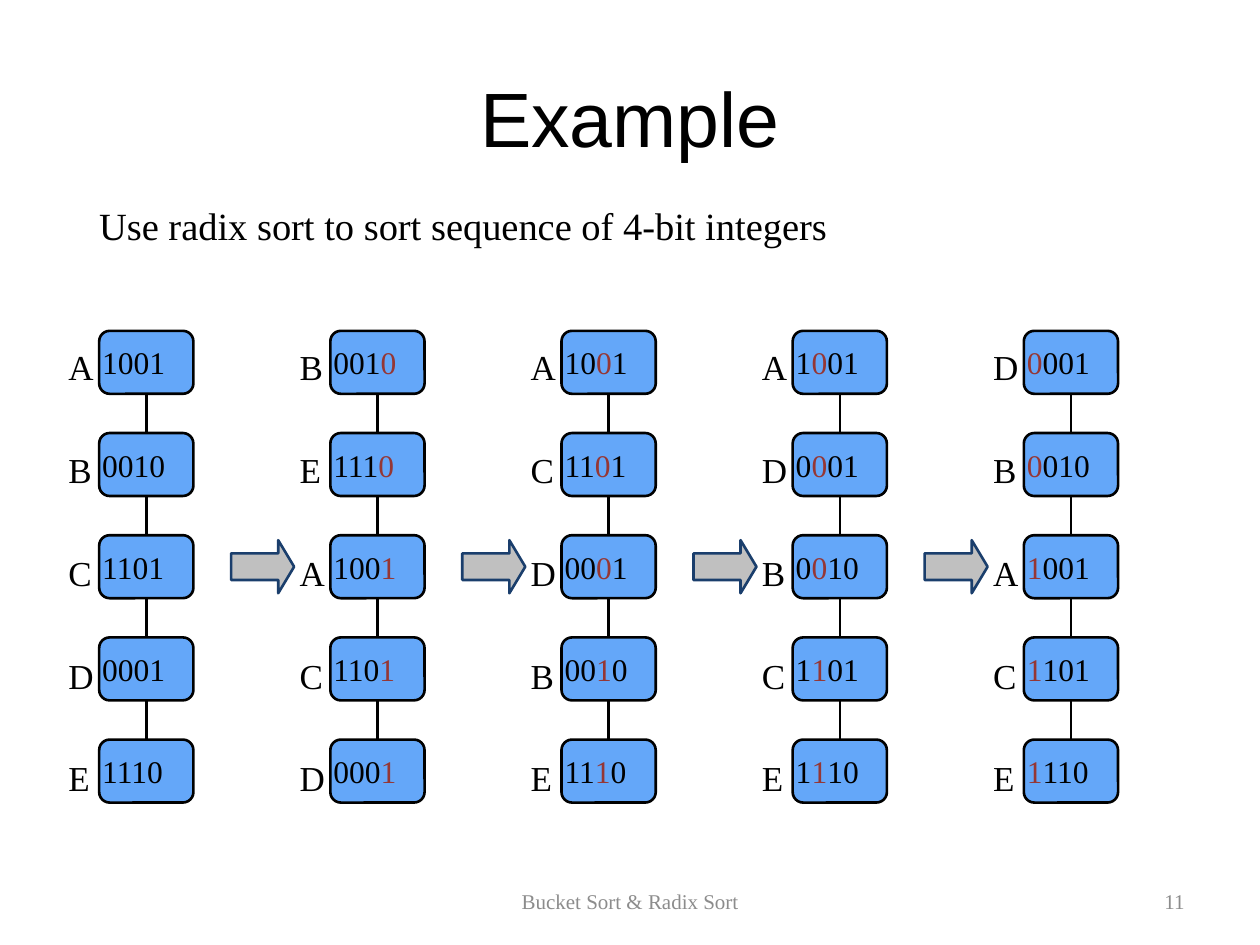
import pptx
import pptx.util
import pptx.dml.color
import pptx.enum.shapes
import pptx.enum.text
import pptx.oxml.ns
import lxml.etree

Cm, Pt = pptx.util.Cm, pptx.util.Pt
SHAPES = pptx.enum.shapes.MSO_SHAPE
ALIGN = pptx.enum.text.PP_ALIGN
ANCHOR = pptx.enum.text.MSO_ANCHOR

# Content
TITLE = "Example"
TASK = "Use radix sort to sort sequence of 4-bit integers"
FOOTER = "Bucket Sort & Radix Sort"
PAGE = "11"
NUMBERS = {"A": "1001", "B": "0010", "C": "1101", "D": "0001", "E": "1110"}
# Order of the letters, and the bit just sorted on
PASSES = [("ABCDE", None), ("BEACD", 3), ("ACDBE", 2), ("ADBCE", 1), ("DBACE", 0)]

COLORS = {"text": "000000", "footer": "8C8C8C", "bit": "953735", "box": "64A7F9",
          "arrow": "C0C0C0", "arrow_edge": "1A3E6C"}
SERIF = "Times New Roman"

# Grid, in centimetres
LEFT, TOP = 2, 6.67
COLUMN_STEP, ROW_STEP = 4.66, 2.06
BOX_W, BOX_H = 1.9, 1.27
ARROW_W, ARROW_H, ARROW_OFFSET = 1.27, 1.07, 2.66
LABEL_OFFSET, LABEL_W, LABEL_H = 0.87, 1.27, 9.45


def color(key):
    return pptx.dml.color.RGBColor.from_string(COLORS[key])


def set_font(paragraph, size, key="text", name=SERIF):
    paragraph.font.size = Pt(size)
    paragraph.font.name = name
    paragraph.font.color.rgb = color(key)


def add_text(slide, area, lines, size, key="text", name=SERIF,
             align=ALIGN.LEFT, anchor=ANCHOR.TOP, line_spacing=None, gap=0):
    frame = slide.shapes.add_textbox(*map(Cm, area)).text_frame
    frame.word_wrap = True
    frame.vertical_anchor = anchor
    for i, line in enumerate(lines):
        paragraph = frame.add_paragraph() if i else frame.paragraphs[0]
        paragraph.text = line
        paragraph.alignment = align
        if line_spacing:
            paragraph.line_spacing = line_spacing
        if i and gap:
            paragraph.space_before = Pt(gap)
        set_font(paragraph, size, key, name)


def add_block(slide, kind, area, adjustments, fill, edge):
    block = slide.shapes.add_shape(kind, *map(Cm, area))
    for i, value in enumerate(adjustments):
        block.adjustments[i] = value
    block.shadow.inherit = False
    block.fill.solid()
    block.fill.fore_color.rgb = color(fill)
    block.line.color.rgb = color(edge)
    block.line.width = Pt(1.5)
    return block


def add_number(slide, left, top, digits, sorted_bit):
    box = add_block(slide, SHAPES.ROUNDED_RECTANGLE, (left, top, BOX_W, BOX_H),
                    [0.167], "box", "text")
    frame = box.text_frame
    frame.margin_left = frame.margin_right = 0
    frame.word_wrap = False
    frame.vertical_anchor = ANCHOR.MIDDLE
    paragraph = frame.paragraphs[0]
    paragraph.alignment = ALIGN.LEFT
    if sorted_bit is None:
        pieces = [(digits, "text")]
    else:
        pieces = [(digits[:sorted_bit], "text"), (digits[sorted_bit], "bit"),
                  (digits[sorted_bit + 1:], "text")]
    set_font(paragraph, 18)
    for text, key in pieces:
        if text:
            run = paragraph.add_run()
            run.text = text
            run.font.color.rgb = color(key)
    return box


def add_link(slide, upper, lower):
    link = slide.shapes.add_connector(pptx.enum.shapes.MSO_CONNECTOR.STRAIGHT, 0, 0, 0, 0)
    link.begin_connect(upper, 2)
    link.end_connect(lower, 0)
    link.line.color.rgb = color("text")
    link.line.width = Pt(1.5)
    properties = link._element.spPr
    lxml.etree.SubElement(properties, pptx.oxml.ns.qn("a:effectLst"))


def main():
    deck = pptx.Presentation()
    deck.slide_width, deck.slide_height = Cm(25.4), Cm(19.05)
    slide = deck.slides.add_slide(deck.slide_layouts[6])

    # Title, task and footer
    add_text(slide, (1.27, 0.76, 22.86, 3.18), [TITLE], 44, name="Arial",
             align=ALIGN.CENTER, anchor=ANCHOR.MIDDLE)
    add_text(slide, (1.75, 3.94, 15.37, 1.19), [TASK], 22)
    add_text(slide, (8.68, 17.65, 8.05, 1.02), [FOOTER], 12, "footer",
             align=ALIGN.CENTER, anchor=ANCHOR.MIDDLE)
    add_text(slide, (18.21, 17.65, 5.92, 1.02), [PAGE], 12, "footer",
             align=ALIGN.RIGHT, anchor=ANCHOR.MIDDLE)

    # One column of linked numbers for each pass
    for column, (order, sorted_bit) in enumerate(PASSES):
        left = LEFT + column * COLUMN_STEP
        boxes = [add_number(slide, left, TOP + row * ROW_STEP, NUMBERS[letter], sorted_bit)
                 for row, letter in enumerate(order)]
        for upper, lower in zip(boxes, boxes[1:]):
            add_link(slide, upper, lower)
        add_text(slide, (left - LABEL_OFFSET, TOP, LABEL_W, LABEL_H), order, 20,
                 line_spacing=1.2, gap=30)

    # Arrows between the passes, level with the middle row
    arrow_top = TOP + 2 * ROW_STEP + (BOX_H - ARROW_H) / 2
    for column in range(len(PASSES) - 1):
        arrow_left = LEFT + column * COLUMN_STEP + ARROW_OFFSET
        add_block(slide, SHAPES.RIGHT_ARROW, (arrow_left, arrow_top, ARROW_W, ARROW_H),
                  [0.5, 0.3], "arrow", "arrow_edge")

    deck.save("out.pptx")


if __name__ == "__main__":
    main()
